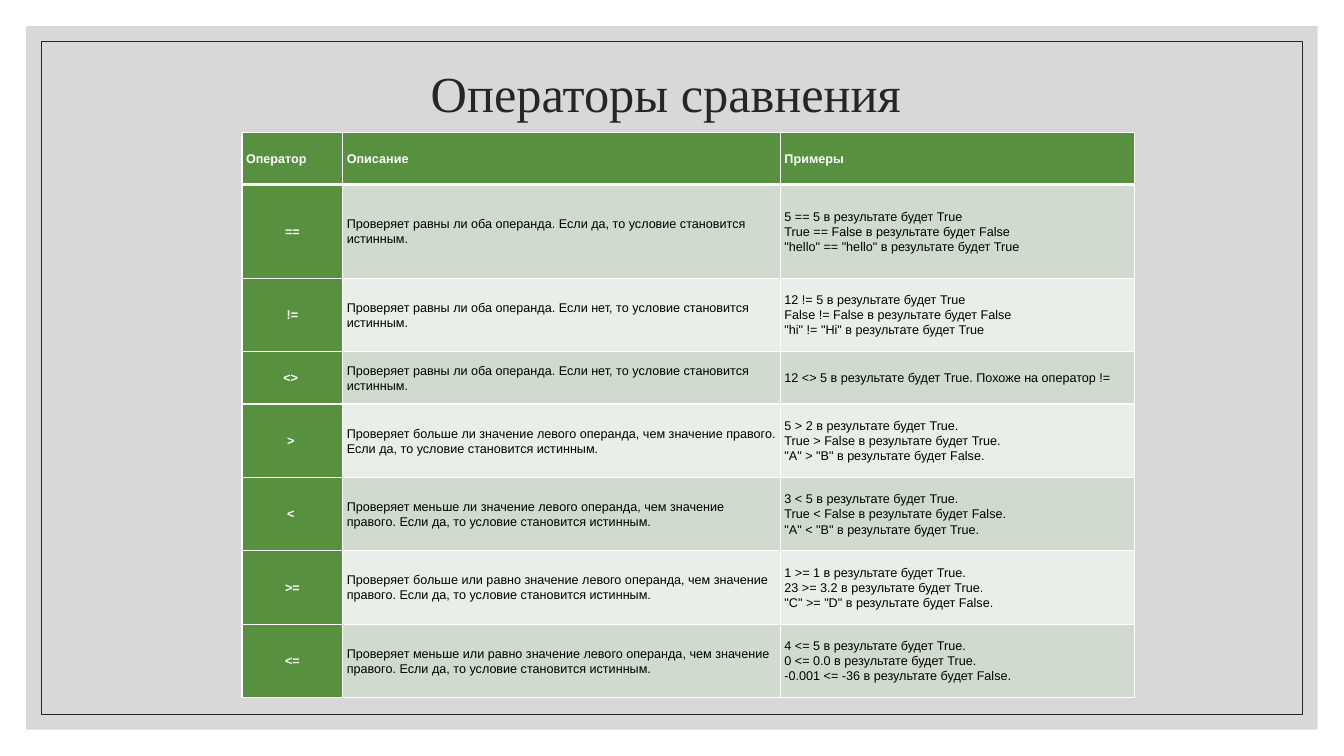
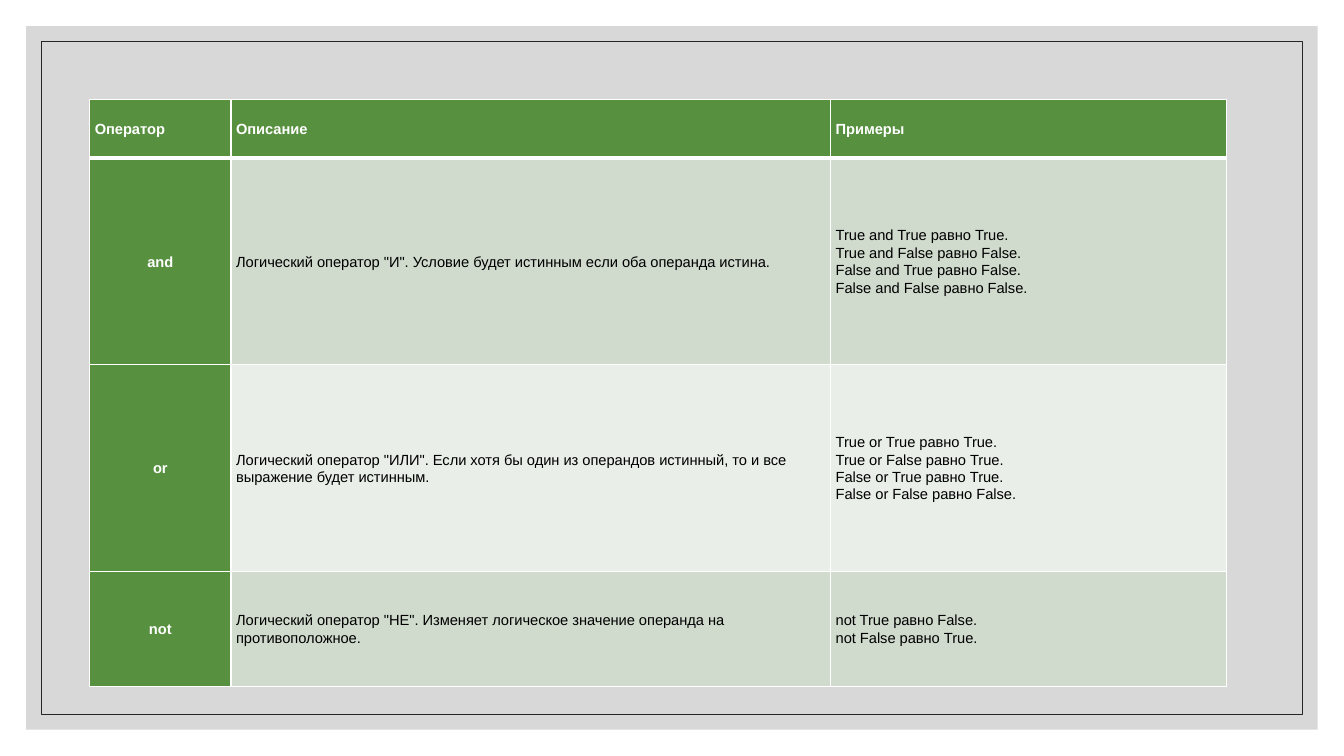
import pptx
import pptx.dml.color
import pptx.enum.shapes
import pptx.enum.text
import pptx.oxml
import pptx.oxml.ns
import pptx.util
from lxml import etree
from pptx.util import Cm

GREEN, WHITE, BLACK, DARK, GREY = "57903F", "FFFFFF", "000000", "262626", "BFBFBF"
BANDS = ["D0DBCD", "E9EEE8"]
HEADINGS = ["Оператор", "Описание", "Примеры"]
ALIGN = pptx.enum.text.PP_ALIGN
MIDDLE = pptx.enum.text.MSO_ANCHOR.MIDDLE


def color(value):
    return pptx.dml.color.RGBColor.from_string(value)


def add_run(paragraph, text, font, size, ink, bold=False):
    run = paragraph.add_run()
    run.text = text
    run.font.name = font
    run.font.size = pptx.util.Pt(size)
    run.font.bold = bold
    run.font.color.rgb = color(ink)


comparison = [
    ["==", "Проверяет равны ли оба операнда. Если да, то условие становится истинным.",
     ["5 == 5 в результате будет True",
      "True == False в результате будет False",
      '"hello" == "hello" в результате будет True']],
    ["!=", "Проверяет равны ли оба операнда. Если нет, то условие становится истинным.",
     ["12 != 5 в результате будет True",
      "False != False в результате будет False",
      '"hi" != "Hi" в результате будет True']],
    ["<> ", "Проверяет равны ли оба операнда. Если нет, то условие становится истинным.",
     ["12 <> 5 в результате будет True. Похоже на оператор !="]],
    ["> ", "Проверяет больше ли значение левого операнда, чем значение правого. "
     "Если да, то условие становится истинным.",
     ["5 > 2 в результате будет True.",
      "True > False в результате будет True.",
      '"A" > "B" в результате будет False.']],
    ["< ", "Проверяет меньше ли значение левого операнда, чем значение правого. "
     "Если да, то условие становится истинным.",
     ["3 < 5 в результате будет True.",
      "True < False в результате будет False.",
      '"A" < "B" в результате будет True.']],
    [">=", "Проверяет больше или равно значение левого операнда, чем значение правого. "
     "Если да, то условие становится истинным.",
     ["1 >= 1 в результате будет True.",
      "23 >= 3.2 в результате будет True.",
      '"C" >= "D" в результате будет False.']],
    ["<=", "Проверяет меньше или равно значение левого операнда, чем значение правого. "
     "Если да, то условие становится истинным.",
     ["4 <= 5 в результате будет True.",
      "0 <= 0.0 в результате будет True.",
      "-0.001 <= -36 в результате будет False."]],
]
logic = [
    ["and", 'Логический оператор "И". Условие будет истинным если оба операнда истина.',
     ["True and True равно True.", "True and False равно False.",
      "False and True равно False.", "False and False равно False."]],
    ["or", 'Логический оператор "ИЛИ". Если хотя бы один из операндов истинный, '
     "то и все выражение будет истинным.",
     ["True or True равно True.", "True or False равно True.",
      "False or True равно True.", "False or False равно False."]],
    ["not", 'Логический оператор "НЕ". Изменяет логическое значение операнда на противоположное.',
     ["not True равно False.", "not False равно True."]],
]
pages = [
    {"title": "Операторы сравнения ", "operators": comparison, "at": (6.1, 3.33),
     "widths": [2.54, 11.03, 8.93], "heights": [1.32, 2.36, 1.85, 1.32] + [1.85] * 4,
     "size": 9, "margin": 0.1},
    {"title": None, "operators": logic, "at": (2.26, 2.51),
     "widths": [3.56, 15.11, 9.98], "heights": [1.47, 5.21, 5.21, 2.9],
     "size": 10.5, "margin": 0.13},
]

deck = pptx.Presentation()
deck.slide_width, deck.slide_height = Cm(33.87), Cm(19.05)
title_only, blank = deck.slide_layouts[5], deck.slide_layouts[6]
slides = [deck.slides.add_slide(title_only if page["title"] else blank) for page in pages]

backdrop = []
for inset in (0.66, 1.04):
    panel = slides[0].shapes.add_shape(
        pptx.enum.shapes.MSO_SHAPE.RECTANGLE, Cm(inset), Cm(inset),
        deck.slide_width - Cm(2 * inset), deck.slide_height - Cm(2 * inset))
    panel.shadow.inherit = False
    backdrop.append(panel)
band, frame = backdrop
band.fill.solid()
band.fill.fore_color.rgb = color(GREY)
band_color = band.element.spPr.find(".//" + pptx.oxml.ns.qn("a:srgbClr"))
etree.SubElement(band_color, pptx.oxml.ns.qn("a:alpha"), val="60000")
band.line.fill.background()
frame.fill.background()
frame.line.color.rgb = color(DARK)
frame.line.width = pptx.util.Pt(0.75)
for position, panel in enumerate(backdrop):
    panel.element.nvSpPr.cNvPr.set("id", str(20 + position))
    deck.slide_master.shapes.element.insert(2 + position, panel.element)

for slide, page in zip(slides, pages):
    if page["title"]:
        title = slide.shapes.title
        title.left, title.top, title.width, title.height = Cm(2.97), Cm(0.53), Cm(27.94), Cm(3.81)
        title.text_frame.vertical_anchor = MIDDLE
        title.text_frame.auto_size = pptx.enum.text.MSO_AUTO_SIZE.NONE
        heading = title.text_frame.paragraphs[0]
        heading.alignment = ALIGN.CENTER
        heading.line_spacing = 0.9
        add_run(heading, page["title"], "Times New Roman", 36, DARK)

    rows = [HEADINGS] + page["operators"]
    left, top = page["at"]
    operators = slide.shapes.add_table(
        len(rows), len(HEADINGS), Cm(left), Cm(top),
        Cm(sum(page["widths"])), Cm(sum(page["heights"]))).table
    for column, width in zip(operators.columns, page["widths"]):
        column.width = Cm(width)
    for row, height in zip(operators.rows, page["heights"]):
        row.height = Cm(height)

    for r, row in enumerate(rows):
        for c, content in enumerate(row):
            cell = operators.cell(r, c)
            accent = r == 0 or c == 0
            cell.fill.solid()
            cell.fill.fore_color.rgb = color(GREEN if accent else BANDS[(r - 1) % 2])
            cell.vertical_anchor = MIDDLE
            cell.margin_left = cell.margin_right = Cm(page["margin"])
            cell.margin_top = cell.margin_bottom = Cm(page["margin"])
            paragraph = cell.text_frame.paragraphs[0]
            paragraph.alignment = ALIGN.CENTER if r and c == 0 else ALIGN.LEFT
            paragraph.line_spacing = 1.07
            lines = content if isinstance(content, list) else [content]
            for n, line in enumerate(lines):
                if n:
                    paragraph.add_line_break()
                add_run(paragraph, line, "Arial", page["size"], WHITE if accent else BLACK, accent)

            properties = cell._tc.get_or_add_tcPr()
            for n, side in enumerate("LRTB"):
                thick = (r, side) in ((0, "B"), (1, "T"))
                properties.insert(n, pptx.oxml.parse_xml(
                    f'<a:ln{side} {pptx.oxml.ns.nsdecls("a")} w="{38100 if thick else 12700}">'
                    f'<a:solidFill><a:srgbClr val="{WHITE}"/></a:solidFill></a:ln{side}>'))

deck.save("out.pptx")
